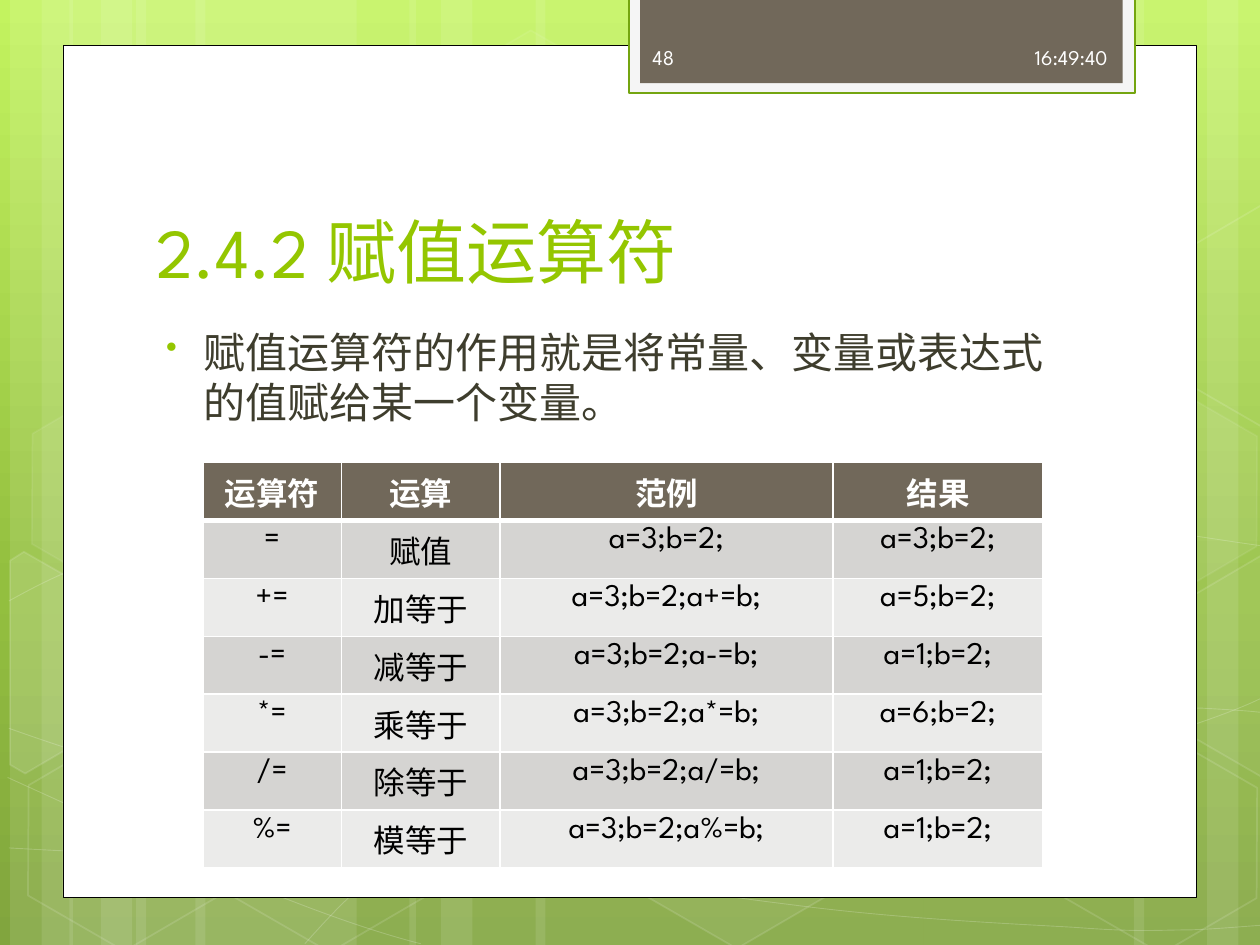
import copy
from dataclasses import dataclass

import lxml.etree
import pptx
import pptx.dml.color
import pptx.enum.shapes
import pptx.enum.text
import pptx.oxml.ns
import pptx.util

Inches = pptx.util.Inches
Pt = pptx.util.Pt
qn = pptx.oxml.ns.qn
Align = pptx.enum.text.PP_ALIGN
Anchor = pptx.enum.text.MSO_ANCHOR
Shapes = pptx.enum.shapes.MSO_SHAPE


@dataclass(frozen=True)
class Theme:
    """Colours, font and type sizes of the slide."""
    white: str = "FFFFFF"
    black: str = "000000"
    green: str = "94C600"
    dark_green: str = "74A510"
    brown: str = "71685A"
    tab_frame: str = "F5F5F5"
    tab_text: str = "FEFEFE"
    body_text: str = "3E3D2D"
    bands: tuple = ("D5D4D2", "EBEBEA")
    background: tuple = ((0, "C3F35F"), (0.62, "93BF3F"), (1, "81A53E"))
    font: str = "League Spartan"
    title_size: int = 40
    body_size: int = 24
    table_size: int = 18
    small_size: int = 12


THEME = Theme()

# left, width
BARS = [(1.08, 1.75), (0.08, 0.5), (0.33, 0.83), (1.55, 1.75), (0.55, 0.5), (0.8, 0.83),
        (7.33, 1.75), (9.58, 0.5), (9, 0.83), (4.25, 3.08), (3.25, 0.5), (3.5, 0.83)]

# start point, then groups of two control points and an end point
CURVES = [
    [(0.07, 6.73), (0.61, 6.76), (1.15, 6.79), (1.9, 6.78), (2.65, 6.77), (3.58, 6.75),
     (4.58, 6.65), (5.58, 6.55), (7, 6.36), (7.92, 6.17), (8.83, 5.98), (9.77, 5.68), (10.07, 5.51)],
    [(0.07, 4.77), (0.36, 4.61), (0.65, 4.46), (1.21, 4.31), (1.78, 4.16), (2.59, 3.94),
     (3.47, 3.87), (4.36, 3.8), (5.44, 3.79), (6.54, 3.87), (7.64, 3.95), (9.47, 4.26), (10.07, 4.34)],
    [(0.06, 6.17), (1.27, 6.72), (2.47, 7.27), (3.34, 7.49)],
    [(0.07, 5.78), (0.38, 5.89), (0.7, 6), (1.28, 6.16), (1.86, 6.31), (2.73, 6.56),
     (3.57, 6.73), (4.4, 6.9), (5.45, 7.08), (6.28, 7.18), (7.11, 7.29), (8, 7.33),
     (8.53, 7.36), (9.05, 7.4), (9.19, 7.38), (9.45, 7.38), (9.71, 7.37), (9.89, 7.35), (10.07, 7.34)],
    [(2.42, 7.49), (2.6, 7.29), (2.78, 7.09), (3.02, 6.91), (3.26, 6.73), (3.6, 6.53),
     (3.88, 6.39), (4.16, 6.25), (4.33, 6.19), (4.7, 6.09), (5.06, 5.99), (5.73, 5.85),
     (6.08, 5.78), (6.44, 5.71), (6.49, 5.71), (6.8, 5.69), (7.11, 5.66), (7.6, 5.63),
     (7.94, 5.62), (8.29, 5.61), (8.86, 5.62), (8.86, 5.62), (9.08, 5.62), (9.31, 5.62),
     (9.53, 5.62), (9.71, 5.63), (9.88, 5.64), (9.97, 5.65), (10.06, 5.66), (10.03, 5.65), (10.06, 5.66)],
]

# left, top, fill opacity, line opacity
HEXAGONS = [(3.34, 0.36, 4, 8), (4.97, 5.89, 6, 12), (0.11, 5.91, None, 12),
            (0.14, 3.12, 7, 8), (1.74, 5.92, None, 12), (7.53, 4.53, 10, 12),
            (8.34, 5.93, None, 12), (8.34, 3.14, 7, 8)]

# corner points, fill opacity
CUT_HEXAGONS = [
    ([(0.08, 4.45), (0.19, 4.38), (0.96, 4.82), (0.95, 5.7), (0.2, 6.14), (0.08, 6.07)], 10),
    ([(9.26, 4.85), (10.01, 4.41), (10.09, 4.46), (10.09, 6.13), (10.02, 6.17), (9.26, 5.73)], 4),
    ([(9.26, 2.07), (10.01, 1.63), (10.1, 1.68), (10.09, 3.35), (10.02, 3.39), (9.26, 2.95)], None),
]

TABLE_ROWS = [
    ("运算符", "运算", "范例", "结果"),
    ("=", "赋值", "a=3;b=2;", "a=3;b=2;"),
    ("+=", "加等于", "a=3;b=2;a+=b;", "a=5;b=2;"),
    ("-=", "减等于", "a=3;b=2;a-=b;", "a=1;b=2;"),
    ("*=", "乘等于", "a=3;b=2;a*=b;", "a=6;b=2;"),
    ("/=", "除等于", "a=3;b=2;a/=b;", "a=1;b=2;"),
    ("%=", "模等于", "a=3;b=2;a%=b;", "a=1;b=2;"),
]


def rgb(colour):
    """Turn a hex string into a colour."""
    return pptx.dml.color.RGBColor.from_string(colour)


def paint(shape, fill=None, line=None, width=1, fill_opacity=100, line_opacity=100):
    """Set fill and line of a shape, with opacities in percent."""
    shape.shadow.inherit = False
    parts = ((shape.fill, fill, fill_opacity, "a:solidFill"),
             (shape.line.fill, line, line_opacity, "a:ln/a:solidFill"))
    for part, colour, opacity, place in parts:
        if colour is None:
            part.background()
            continue
        part.solid()
        part.fore_color.rgb = rgb(colour)
        if opacity < 100:
            value = shape.element.spPr.xpath(place + "/a:srgbClr")[0]
            lxml.etree.SubElement(value, qn("a:alpha"), val=str(opacity * 1000))
    if line:
        shape.line.width = Pt(width)


def add_box(slide, box, kind=Shapes.RECTANGLE, **look):
    """Add a painted preset shape."""
    shape = slide.shapes.add_shape(kind, *map(Inches, box))
    paint(shape, **look)
    return shape


def add_outline(slide, points, close, **look):
    """Add a painted freeform through the points."""
    start, *others = [(Inches(x), Inches(y)) for x, y in points]
    builder = slide.shapes.build_freeform(*start)
    builder.add_line_segments(others, close=close)
    shape = builder.convert_to_shape()
    paint(shape, **look)
    return shape


def add_curve(slide, controls, **look):
    """Add a chain of cubic curves."""
    shape = add_outline(slide, controls, False, **look)
    segments = shape.element.spPr.xpath(".//a:lnTo")
    for first in range(0, len(segments), 3):
        group = segments[first:first + 3]
        cubic = lxml.etree.Element(qn("a:cubicBezTo"))
        group[0].addprevious(cubic)
        for segment in group:
            cubic.append(segment[0])
            segment.getparent().remove(segment)


def add_background(slide):
    """Fill the background and add its bars, curves and hexagons."""
    fill = slide.background.fill
    fill.gradient()
    fill.gradient_angle = 270
    stops = slide.element.find(".//" + qn("a:gsLst"))
    stops.append(copy.deepcopy(stops[-1]))
    for stop, (position, colour) in zip(fill.gradient_stops, THEME.background):
        stop.position = position
        stop.color.rgb = rgb(colour)
    white = THEME.white
    for left, width in BARS:
        add_box(slide, (left, 0, width, 7.5), fill=white, fill_opacity=10)
    for controls in CURVES:
        add_curve(slide, controls, line=white, width=0.5, line_opacity=20)
    for left, top, opacity, line_opacity in HEXAGONS:
        hexagon = add_box(slide, (left, top, 1.75, 1.52), Shapes.HEXAGON, fill=white if opacity else None,
                          fill_opacity=opacity or 100, line=white, line_opacity=line_opacity)
        hexagon.adjustments[0] = 0.285
        hexagon.rotation = 30
    for points, opacity in CUT_HEXAGONS:
        add_outline(slide, points, True, fill=white if opacity else None,
                    fill_opacity=opacity or 100, line=white, line_opacity=12)


def style(paragraph, size, colour, align=Align.LEFT, bold=False):
    """Set alignment and font of a paragraph."""
    paragraph.alignment = align
    font = paragraph.font
    font.name, font.size, font.bold = THEME.font, Pt(size), bold
    font.color.rgb = rgb(colour)


def add_text(slide, box, text, size, colour, align=Align.LEFT, anchor=Anchor.TOP):
    """Add a wrapping text box and return its paragraph."""
    frame = slide.shapes.add_textbox(*map(Inches, box)).text_frame
    frame.word_wrap = True
    frame.vertical_anchor = anchor
    paragraph = frame.paragraphs[0]
    paragraph.text = text
    style(paragraph, size, colour, align)
    return paragraph


def add_tab(slide, left, top, width, height):
    """Add the framed tab with slide number and time."""
    add_box(slide, (left, top, width, height), fill=THEME.tab_frame, line=THEME.dark_green, width=1.25)
    add_box(slide, (left + 0.09, top, width - 0.19, height - 0.08), fill=THEME.brown)
    for text, offset, text_width, align in (("16:49:40", 1.57, 2.33, Align.RIGHT),
                                            ("48", 0.09, 1.46, Align.LEFT)):
        add_text(slide, (left + offset, top + 0.27, text_width, 0.4), text,
                 THEME.small_size, THEME.tab_text, align, Anchor.MIDDLE)


def add_bullet(slide, box, text):
    """Add the bulleted body text."""
    paragraph = add_text(slide, box, text, THEME.body_size, THEME.body_text)
    paragraph.space_before = Pt(3)
    properties = paragraph._p.get_or_add_pPr()
    properties.set("marL", str(Inches(0.38)))
    properties.set("indent", str(Inches(-0.3)))
    colour = lxml.etree.Element(qn("a:buClr"))
    lxml.etree.SubElement(colour, qn("a:srgbClr"), val=THEME.green)
    size = lxml.etree.Element(qn("a:buSzPct"), val="76000")
    mark = lxml.etree.Element(qn("a:buChar"), char="•")
    default_font = properties.find(qn("a:defRPr"))
    for element in (colour, size, mark):
        default_font.addprevious(element)


def add_borders(cell, bottom):
    """Give a cell white borders, with its own bottom width."""
    properties = cell._tc.get_or_add_tcPr()
    for index, (side, width) in enumerate((("L", 1), ("R", 1), ("T", 1), ("B", bottom))):
        line = lxml.etree.Element(qn("a:ln" + side), w=str(Pt(width)))
        fill = lxml.etree.SubElement(line, qn("a:solidFill"))
        lxml.etree.SubElement(fill, qn("a:srgbClr"), val=THEME.white)
        properties.insert(index, line)


def add_operator_table(slide, left, top, column_widths, row_height):
    """Add the table of assignment operators."""
    box = (left, top, sum(column_widths), row_height * len(TABLE_ROWS))
    table = slide.shapes.add_table(len(TABLE_ROWS), len(column_widths), *map(Inches, box)).table
    table.horz_banding = False
    for column, width in zip(table.columns, column_widths):
        column.width = Inches(width)
    for row, texts in enumerate(TABLE_ROWS):
        header = row == 0
        for column, text in enumerate(texts):
            cell = table.cell(row, column)
            cell.text = text
            style(cell.text_frame.paragraphs[0], THEME.table_size,
                  THEME.white if header else THEME.black, Align.CENTER, header)
            cell.fill.solid()
            cell.fill.fore_color.rgb = rgb(THEME.brown if header else THEME.bands[(row - 1) % 2])
            add_borders(cell, 3 if header else 1)


def build():
    """Build and save the slide."""
    presentation = pptx.Presentation()
    presentation.slide_width, presentation.slide_height = Inches(10), Inches(7.5)
    slide = presentation.slides.add_slide(presentation.slide_layouts[6])
    add_background(slide)
    add_box(slide, (0.5, 0.36, 9, 6.76), fill=THEME.white, line=THEME.black, width=0.5)
    add_tab(slide, 4.99, -0.02, 4.02, 0.76)
    add_text(slide, (1.14, 1.12, 7.68, 1.25), "2.4.2 赋值运算符", THEME.title_size, THEME.green,
             anchor=Anchor.BOTTOM)
    add_bullet(slide, (1.14, 2.54, 7.41, 3.84), "赋值运算符的作用就是将常量、变量或表达式的值赋给某一个变量。")
    add_operator_table(slide, 1.61, 3.67, (1.1, 1.26, 2.64, 1.67), 0.46)
    presentation.save("out.pptx")


build()
